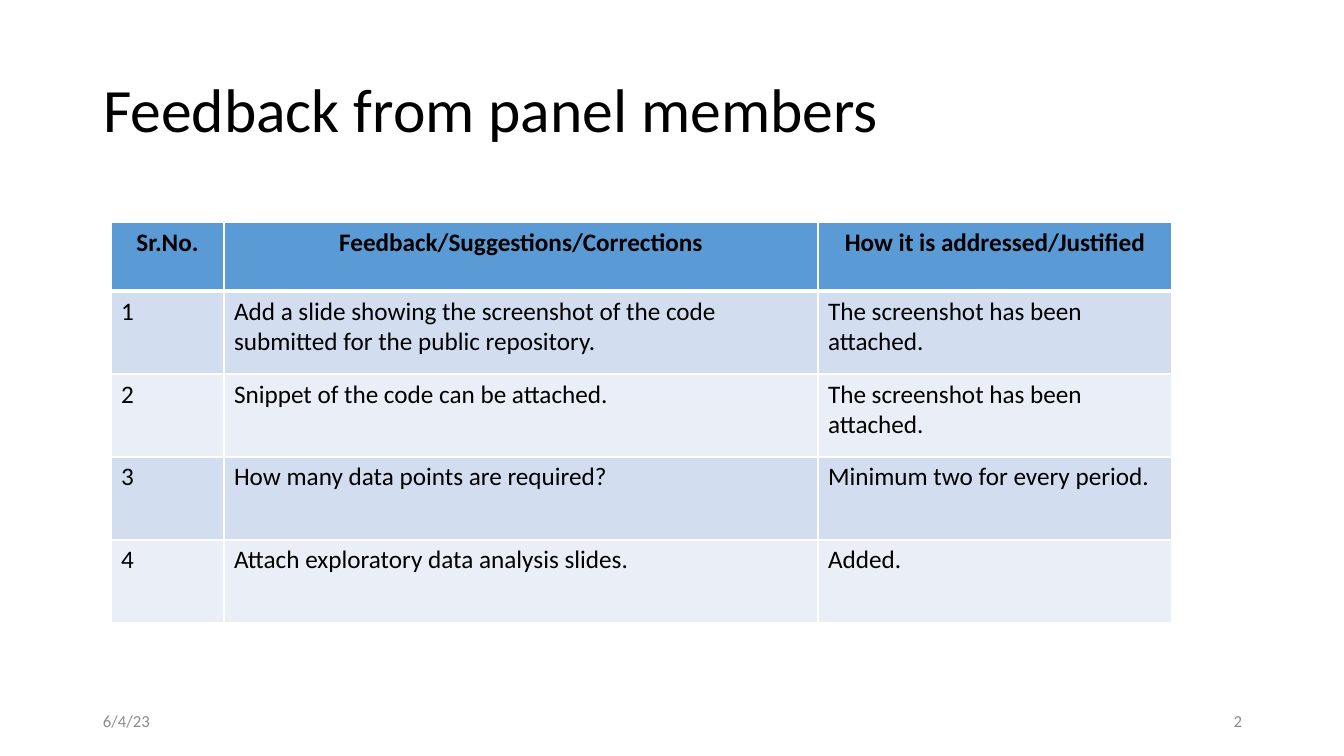
from lxml import etree
from pptx import Presentation
from pptx import util as u
from pptx.dml.color import RGBColor
from pptx.enum import text
from pptx.oxml.ns import qn

PX = 914400 / 100.8  # EMU in one px
FONT = "Calibri"
BLACK, WHITE, GREY = "000000", "FFFFFF", "8C8C8C"
HEADER_FILL = "5B9BD5"
BAND_FILLS = ("D2DEEF", "EAEFF7")

COLUMN_WIDTHS = (113, 594, 354)
HEADER_HEIGHT, ROW_HEIGHT = 69, 83
FEEDBACK = [
    ("Sr.No.", "Feedback/Suggestions/Corrections", "How it is addressed/Justified"),
    ("1", "Add a slide showing the screenshot of the code submitted for the public repository.",
     "The screenshot has been attached."),
    ("2", "Snippet of the code can be attached.", "The screenshot has been attached."),
    ("3", "How many data points are required?", "Minimum two for every period."),
    ("4", "Attach exploratory data analysis slides.", "Added."),
]


def px(length):
    return u.Emu(round(length * PX))


def color(value):
    return RGBColor.from_string(value)


def write(frame, words, size=18, fill=BLACK, bold=False, align="LEFT", spacing=None):
    frame.word_wrap = True
    paragraph = frame.paragraphs[0]
    paragraph.alignment = getattr(text.PP_ALIGN, align)
    if spacing:
        paragraph.line_spacing = spacing
    run = paragraph.add_run()
    run.text = words
    run.font.name = FONT
    run.font.size = u.Pt(size)
    run.font.bold = bold
    run.font.color.rgb = color(fill)


def add_title(slide, words):
    title = slide.shapes.title
    title.left, title.top, title.width, title.height = map(px, (93, 40, 1159, 146))
    title.text_frame.vertical_anchor = text.MSO_ANCHOR.MIDDLE
    write(title.text_frame, words, size=44, spacing=0.9)


def add_footer(slide, words, left, align):
    box = slide.shapes.add_textbox(px(left), px(701), px(302), px(40))
    box.text_frame.vertical_anchor = text.MSO_ANCHOR.MIDDLE
    write(box.text_frame, words, size=12, fill=GREY, align=align)


def set_borders(cell, widths):
    """Draw white borders; widths are points for left, right, top, bottom."""
    properties = cell._tc.get_or_add_tcPr()
    for index, (side, width) in enumerate(zip("LRTB", widths)):
        line = etree.Element(qn(f"a:ln{side}"), w=str(u.Pt(width)))
        solid = etree.SubElement(line, qn("a:solidFill"))
        etree.SubElement(solid, qn("a:srgbClr"), val=WHITE)
        properties.insert(index, line)


def add_feedback_table(slide, rows, left, top):
    height = HEADER_HEIGHT + ROW_HEIGHT * (len(rows) - 1)
    table = slide.shapes.add_table(len(rows), len(COLUMN_WIDTHS), px(left), px(top),
                                   px(sum(COLUMN_WIDTHS)), px(height)).table
    for column, width in zip(table.columns, COLUMN_WIDTHS):
        column.width = px(width)
    for row_index, row in enumerate(rows):
        header = row_index == 0
        table.rows[row_index].height = px(HEADER_HEIGHT if header else ROW_HEIGHT)
        for column_index, words in enumerate(row):
            cell = table.cell(row_index, column_index)
            cell.fill.solid()
            cell.fill.fore_color.rgb = color(
                HEADER_FILL if header else BAND_FILLS[(row_index - 1) % 2])
            # The thick rule below the header belongs to both rows it touches
            set_borders(cell, (1, 1, 3 if row_index == 1 else 1, 3 if header else 1))
            write(cell.text_frame, words, bold=header, align="CENTER" if header else "LEFT")


def main():
    presentation = Presentation()
    presentation.slide_width, presentation.slide_height = px(1344), px(756)
    slide = presentation.slides.add_slide(presentation.slide_layouts[5])

    # Heading and table
    add_title(slide, "Feedback from panel members")
    add_feedback_table(slide, FEEDBACK, left=111, top=222)

    # Date and slide number
    add_footer(slide, "6/4/23", left=93, align="LEFT")
    add_footer(slide, "2", left=950, align="RIGHT")

    presentation.save("out.pptx")


if __name__ == "__main__":
    main()
